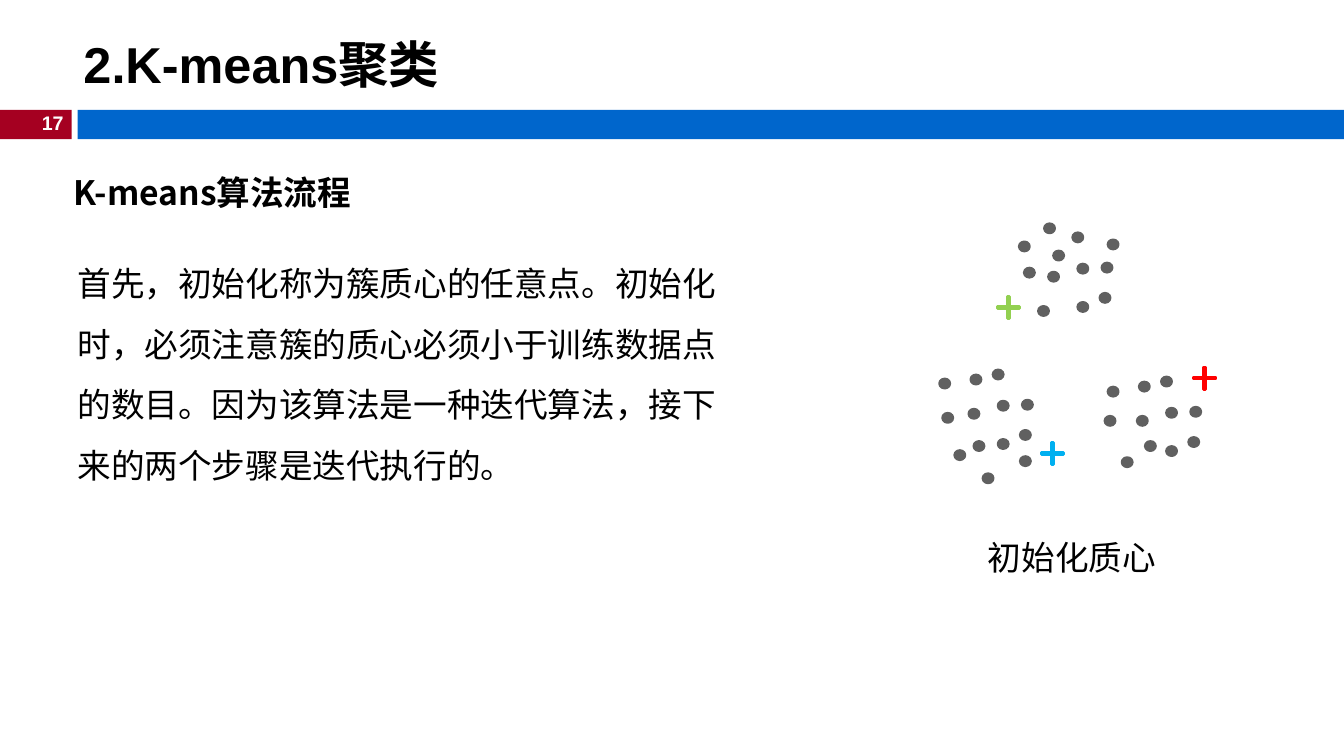
from lxml.etree import SubElement
from pptx import Presentation
from pptx.dml.color import RGBColor
from pptx.enum.shapes import MSO_SHAPE
from pptx.enum.text import MSO_ANCHOR, PP_ALIGN
from pptx.oxml.ns import qn
from pptx.util import Inches, Pt

BLACK = RGBColor(0x00, 0x00, 0x00)
WHITE = RGBColor(0xFF, 0xFF, 0xFF)
CRIMSON = RGBColor(0xA5, 0x00, 0x21)
BLUE = RGBColor(0x00, 0x66, 0xCC)
GRAY = RGBColor(0x60, 0x60, 0x60)
GREEN = RGBColor(0x92, 0xD0, 0x50)
RED = RGBColor(0xFF, 0x00, 0x00)
SKY = RGBColor(0x00, 0xB0, 0xF0)

LATIN_FONT = "Arial"
CHINESE_FONT = "Noto Sans CJK SC"

# The slide is a grid of 1333 columns by 750 rows.
CELL = Inches(0.01)
COLUMNS, ROWS = 1333, 750

presentation = Presentation()
presentation.slide_width = COLUMNS * CELL
presentation.slide_height = ROWS * CELL
slide = presentation.slides.add_slide(presentation.slide_layouts[6])


def add_figure(shapes, preset, box, color, line_width=0):
    """Add a preset shape at box (left, top, width, height in cells)."""
    shape = shapes.add_shape(preset, *(CELL * length for length in box))
    shape.shadow.inherit = False
    shape.fill.solid()
    shape.fill.fore_color.rgb = color
    if line_width:
        shape.line.color.rgb = color
        shape.line.width = Pt(line_width)
    else:
        shape.line.fill.background()
    return shape


def add_text(box, text, size=24, color=BLACK, bold=False, font=LATIN_FONT):
    """Add a one-paragraph text box at box, given in cells."""
    shape = slide.shapes.add_textbox(*(CELL * length for length in box))
    shape.text_frame.word_wrap = True
    shape.text_frame.text = text
    paragraph = shape.text_frame.paragraphs[0]
    run = paragraph.runs[0]
    run.font.name = font
    run.font.size = Pt(size)
    run.font.bold = bold
    run.font.color.rgb = color
    SubElement(run.font._element, qn("a:ea"), typeface=CHINESE_FONT)
    return shape.text_frame, paragraph


# Header band, slide number and title
BAND_TOP, BAND_HEIGHT = 109, 29
for left, right, color in ((0, 71, CRIMSON), (77, COLUMNS, BLUE)):
    add_figure(slide.shapes, MSO_SHAPE.RECTANGLE,
               (left, BAND_TOP, right - left, BAND_HEIGHT), color)

number_frame, number = add_text((29, 105, 44, 34), "17", 14, WHITE, bold=True)
number_frame.word_wrap = False
number.alignment = PP_ALIGN.RIGHT

title_frame, title = add_text((73, 26, 1260, 74), "2.K-means聚类", 36, bold=True)
title_frame.vertical_anchor = MSO_ANCHOR.MIDDLE

# Scatter of data points: left and top of each dot, in cells
CLUSTERS = {
    "left": ((963, 372), (985, 367), (932, 376), (961, 406), (990, 436),
             (1014, 397), (975, 470), (1012, 427), (1012, 453), (990, 398),
             (947, 447), (935, 410), (966, 438)),
    "top": ((1036, 222), (1064, 231), (1011, 240), (1040, 270), (1069, 300),
            (1093, 261), (1099, 238), (1091, 291), (1016, 266), (1069, 262),
            (1030, 304), (1045, 249)),
    "right": ((1130, 379), (1152, 374), (1099, 384), (1128, 413), (1157, 443),
              (1181, 404), (1136, 438), (1179, 434), (1096, 413), (1157, 405),
              (1113, 454)),
}
CENTROIDS = ((989, 294, GREEN), (1184, 364, RED), (1033, 439, SKY))

scatter = slide.shapes.add_group_shape()
for dots in CLUSTERS.values():
    for left, top in dots:
        add_figure(scatter.shapes, MSO_SHAPE.OVAL, (left, top, 10, 9), GRAY, 2)
for left, top, color in CENTROIDS:
    centroid = add_figure(scatter.shapes, MSO_SHAPE.CROSS, (left, top, 22, 22), color, 2)
    centroid.adjustments[0] = 0.454

# Caption, heading and explanation
add_text((970, 528, 212, 50), "初始化质心")

heading_frame, heading = add_text((34, 146, 667, 63), "K-means算法流程",
                                  bold=True, font=CHINESE_FONT)
heading.alignment = PP_ALIGN.JUSTIFY
heading.line_spacing = 1.5
heading._p.get_or_add_pPr().set("indent", str(29 * CELL))

body_frame, body = add_text(
    (67, 236, 667, 245),
    "首先，初始化称为簇质心的任意点。初始化时，必须注意簇的质心必须小于训练数据点的数目。"
    "因为该算法是一种迭代算法，接下来的两个步骤是迭代执行的。")
body.line_spacing = 1.5

presentation.save("out.pptx")
